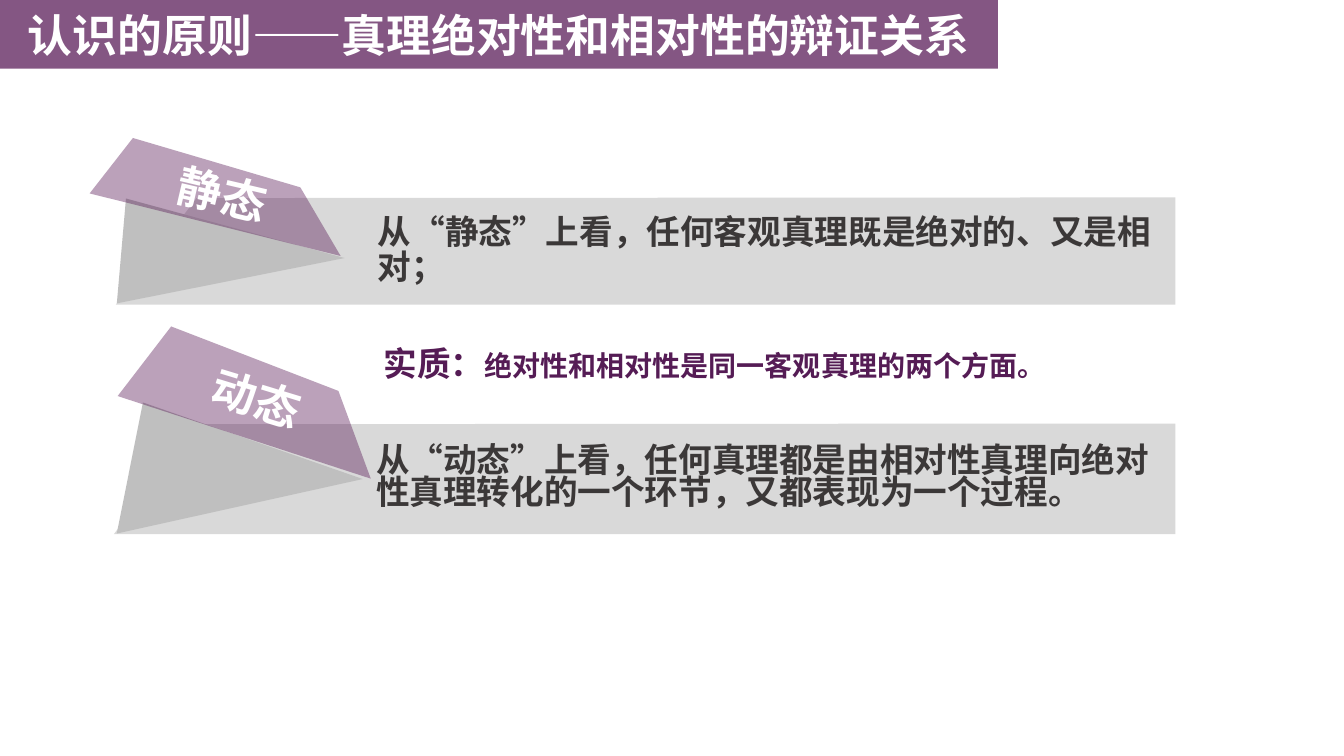
import math
from lxml import etree
from pptx import Presentation
from pptx.dml.color import RGBColor
from pptx.enum import lang, text
from pptx.oxml import ns
from pptx.util import Pt

# Content: points are slide positions in pt, (angle, centre) is the turn of a shape
FONT = "Noto Sans CJK SC"
COLORS = {"panel": "D9D9D9", "fold": "BFBFBF", "purple": "5A1B58",
          "essence": "551C55", "dark": "3B3838", "white": "FFFFFF"}
TITLE = "认识的原则——真理绝对性和相对性的辩证关系"
ESSENCE = [("实质：", 24), ("绝对性和相对性是同一客观真理的两个方面。", 20)]
VIEWS = [
    {"label": "静态", "text": "从“静态”上看，任何客观真理既是绝对的、又是相对；",
     "spacing": Pt(25),
     "panel": [(140.4, 141.5), (839.5, 141), (839.5, 217.5), (82.8, 217.5)],
     "fold": [(246.2, 184.3), (90, 141.8), (83.5, 216.7)],
     "fold_turn": (285.2, (158.4, 198.7)),
     "ribbon": [(95, 98.6), (214.6, 133.9), (243.4, 182.9), (64.1, 138.2)],
     "ribbon_turn": (13.2, (158.8, 138.6))},
    {"label": "动态",
     "text": "从“动态”上看，任何真理都是由相对性真理向绝对性真理转化的一个环节，又都表现为一个过程。",
     "spacing": 0.8,
     "panel": [(139, 303), (839.5, 302.5), (839.5, 381.5), (81.4, 381.5)],
     "fold": [(259.2, 342), (102.2, 287.3), (83.5, 380.9)],
     "fold_turn": (289.3, (164.9, 359.3)),
     "ribbon": [(122.4, 233.3), (241.9, 279.4), (265, 342), (84.2, 283)],
     "ribbon_turn": (17.1, (182.9, 284.8))},
]


def set_fill(sp, color, alpha=100):
    sp.fill.solid()
    sp.fill.fore_color.rgb = RGBColor.from_string(COLORS[color])
    if alpha < 100:
        clr = sp.fill._xPr.find(".//" + ns.qn("a:srgbClr"))
        etree.SubElement(clr, ns.qn("a:alpha"), val=str(alpha * 1000))


def write(sp, runs, color, align=text.PP_ALIGN.LEFT, spacing=1.0,
          anchor=text.MSO_ANCHOR.MIDDLE, insets=None):
    """Fill a shape with one paragraph of (text, size) runs."""
    tf = sp.text_frame
    tf.word_wrap = True
    tf.vertical_anchor = anchor
    if insets:
        tf.margin_left, tf.margin_top, tf.margin_right, tf.margin_bottom = map(Pt, insets)
    p = tf.paragraphs[0]
    p.alignment, p.line_spacing = align, spacing
    for words, size in runs:
        r = p.add_run()
        r.text = words
        r.font.size, r.font.bold, r.font.name = Pt(size), True, FONT
        r.font.language_id = lang.MSO_LANGUAGE_ID.SIMPLIFIED_CHINESE
        r.font.color.rgb = RGBColor.from_string(COLORS[color])
        etree.SubElement(r.font._element, ns.qn("a:ea"), typeface=FONT)


def turn_back(points, angle, centre):
    """Undo the turn, so that the shape's rotation brings the points into place."""
    cx, cy = centre
    cos, sin = math.cos(math.radians(angle)), math.sin(math.radians(angle))
    return [(cx + (x - cx) * cos + (y - cy) * sin,
             cy - (x - cx) * sin + (y - cy) * cos) for x, y in points]


def polygon(shapes, points, color, alpha=100, turn=(0, (0, 0))):
    first, *rest = [(Pt(x), Pt(y)) for x, y in turn_back(points, *turn)]
    builder = shapes.build_freeform(*first)
    builder.add_line_segments(rest, close=True)
    sp = builder.convert_to_shape()
    sp.rotation = turn[0]
    sp.shadow.inherit = False
    sp.line.fill.background()
    set_fill(sp, color, alpha)
    return sp


def main():
    prs = Presentation()
    prs.slide_width, prs.slide_height = Pt(960), Pt(540)
    slide = prs.slides.add_slide(prs.slide_layouts[5])

    # Title banner
    title = slide.shapes.title
    title.left, title.top, title.width, title.height = Pt(0), Pt(0), Pt(712.8), Pt(49)
    geom = etree.SubElement(title._element.spPr, ns.qn("a:prstGeom"), prst="homePlate")
    etree.SubElement(geom, ns.qn("a:avLst"))
    set_fill(title, "purple", 74)
    title.text_frame.auto_size = text.MSO_AUTO_SIZE.NONE
    write(title, [(TITLE, 32)], "white", text.PP_ALIGN.CENTER)

    # Two views: grey panel, its fold, and the ribbon with the label
    for view in VIEWS:
        panel = polygon(slide.shapes, view["panel"], "panel")
        write(panel, [(view["text"], 24)], "dark", spacing=view["spacing"],
              insets=(187.2, 5.76, 8.64, 5.76))
        polygon(slide.shapes, view["fold"], "fold", turn=view["fold_turn"])
        ribbon = polygon(slide.shapes, view["ribbon"], "purple", 41, view["ribbon_turn"])
        write(ribbon, [(view["label"], 32)], "white", text.PP_ALIGN.CENTER,
              insets=(0, 0, 0, 0))

    # Essence between the panels
    box = slide.shapes.add_textbox(Pt(267), Pt(226.8), Pt(514), Pt(51))
    write(box, ESSENCE, "essence", spacing=1.5, anchor=text.MSO_ANCHOR.TOP)
    box.text_frame.auto_size = text.MSO_AUTO_SIZE.SHAPE_TO_FIT_TEXT

    prs.save("out.pptx")


if __name__ == "__main__":
    main()
